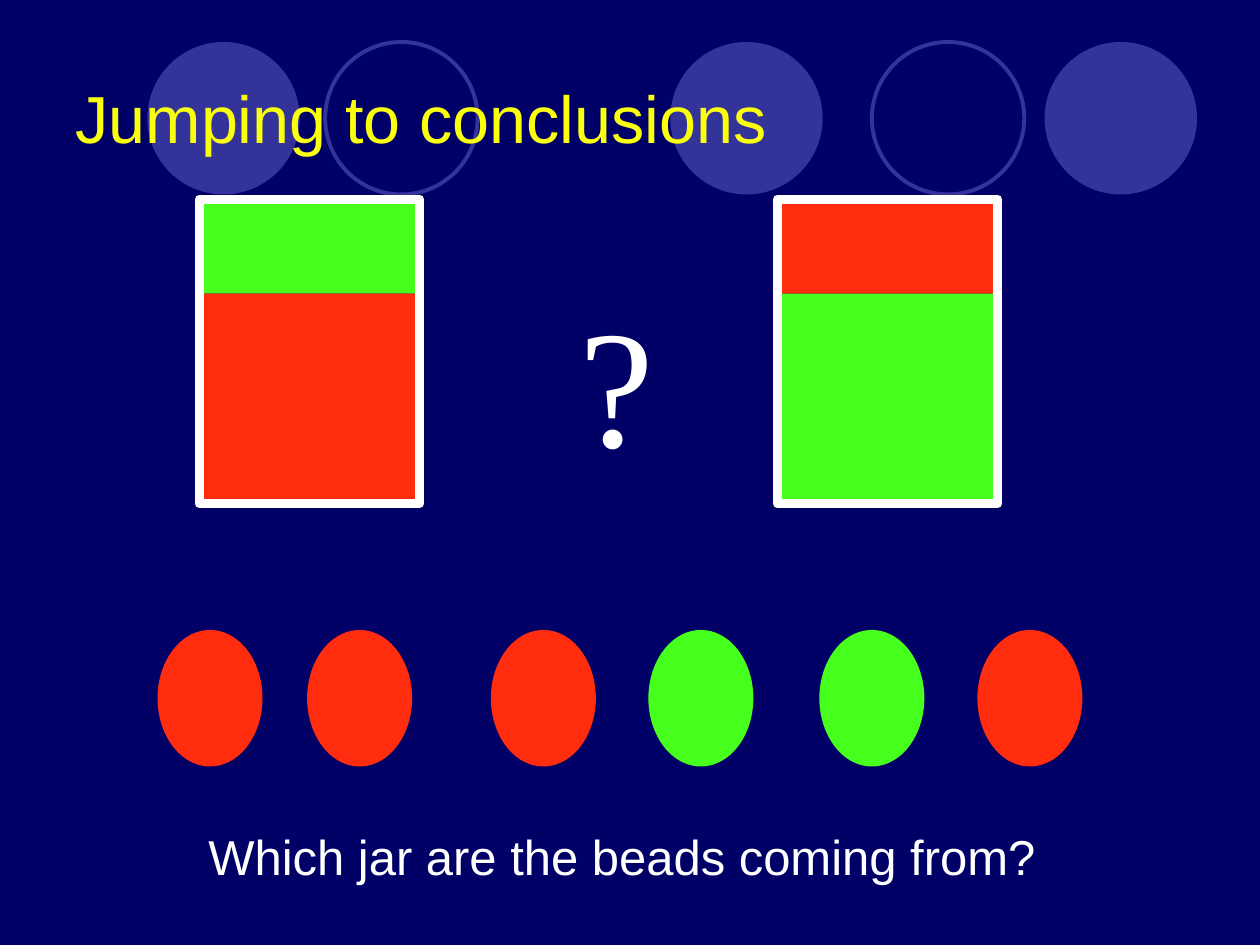
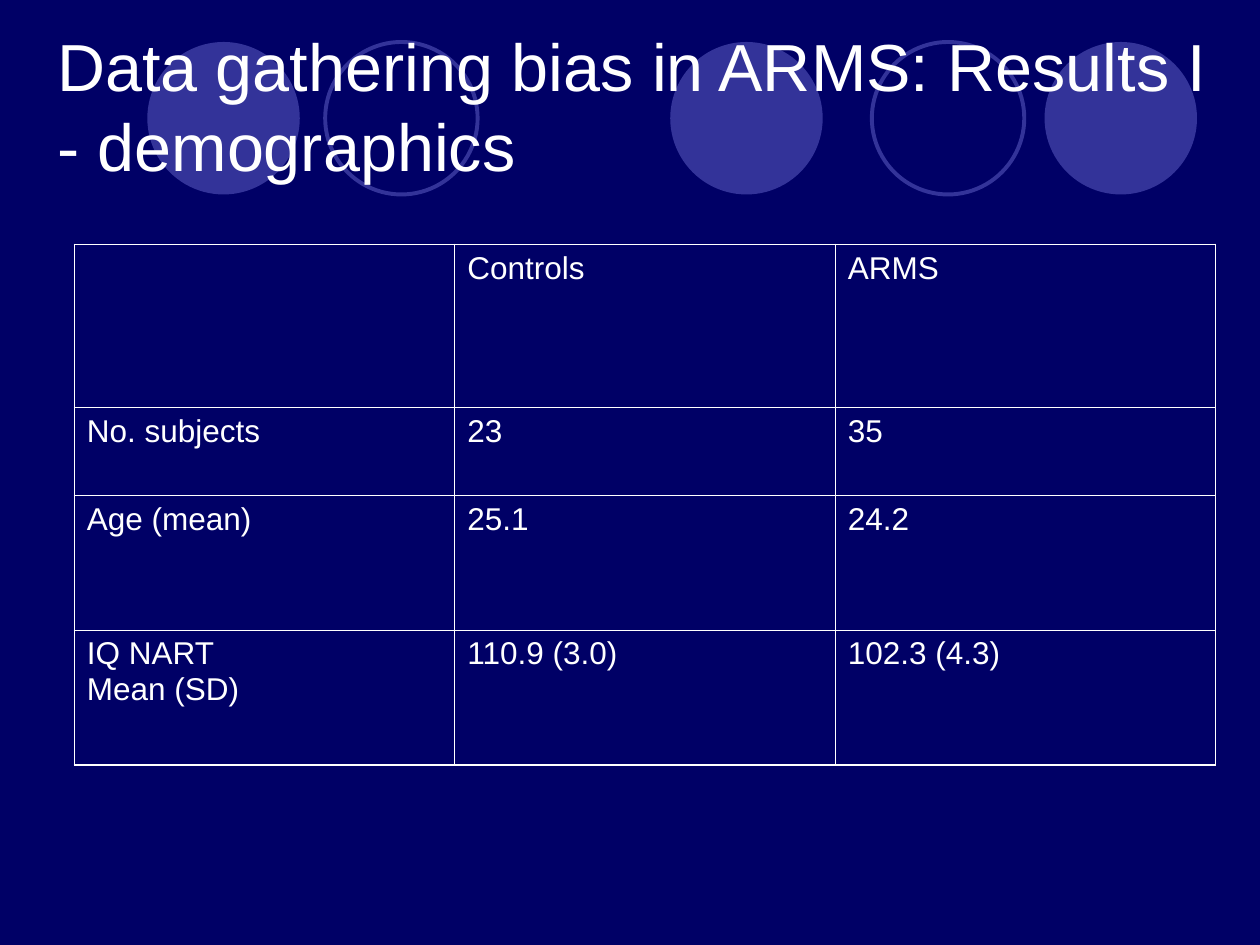
from lxml import etree
from pptx import Presentation
from pptx.dml.color import RGBColor
from pptx.enum import shapes, text
from pptx.oxml import ns
from pptx.util import Pt

COLOURS = {
    "navy": "000066",
    "indigo": "333399",
    "white": "FFFFFF",
    "yellow": "FAFF0B",
    "red": "FF2C0D",
    "green": "47FF1D",
}
SANS = "Arial"
SERIF = "Times New Roman"
RECTANGLE = shapes.MSO_SHAPE.RECTANGLE
OVAL = shapes.MSO_SHAPE.OVAL

FILLED_CIRCLES = [84.2, 383, 596.9]
RING_CIRCLES = [185.8, 498.2]
CIRCLE_TOP, CIRCLE_SIZE = 24, 87.1

JAR_TOP, JAR_WIDTH, JAR_HEIGHT, JAR_SPLIT = 113.8, 126, 174, 54
JARS = [(113.8, "green", "red"), (444.2, "red", "green")]

BEAD_TOP, BEAD_WIDTH, BEAD_HEIGHT = 360, 60, 78
BEADS = [(90, "red"), (175.5, "red"), (280.5, "red"),
         (370.5, "green"), (468.2, "green"), (558.5, "red")]

DEMOGRAPHICS = [
    ["", "Controls", "ARMS"],
    ["No. subjects", "23", "35"],
    ["Age (mean)", "25.1", "24.2"],
    ["IQ NART\nMean (SD)", "110.9 (3.0)", "102.3 (4.3)"],
]
ROW_HEIGHTS = [93, 50.4, 77, 77]
COLUMN_WIDTH = 217.4
OUTER_BORDER, INNER_BORDER = 1.08, 0.45


def colour(name):
    return RGBColor.from_string(COLOURS[name])


def add_figure(page, kind, left, top, width, height, fill=None, line=None, weight=1):
    figure = page.shapes.add_shape(kind, Pt(left), Pt(top), Pt(width), Pt(height))
    figure.shadow.inherit = False
    if fill:
        figure.fill.solid()
        figure.fill.fore_color.rgb = colour(fill)
    else:
        figure.fill.background()
    if line:
        figure.line.color.rgb = colour(line)
        figure.line.width = Pt(weight)
    else:
        figure.line.fill.background()


def write(frame, wording, size, tint="white", font=SANS, align=text.PP_ALIGN.LEFT):
    for number, sentence in enumerate(wording.split("\n")):
        para = frame.add_paragraph() if number else frame.paragraphs[0]
        para.alignment = align
        span = para.add_run()
        span.text = sentence
        span.font.size = Pt(size)
        span.font.name = font
        span.font.color.rgb = colour(tint)


def add_text(page, left, top, width, height, wording, size,
             anchor=text.MSO_ANCHOR.TOP, **style):
    box = page.shapes.add_textbox(Pt(left), Pt(top), Pt(width), Pt(height))
    box.text_frame.word_wrap = True
    box.text_frame.vertical_anchor = anchor
    write(box.text_frame, wording, size, **style)


def add_page(deck):
    page = deck.slides.add_slide(deck.slide_layouts[6])
    page.background.fill.solid()
    page.background.fill.fore_color.rgb = colour("navy")
    for left in FILLED_CIRCLES:
        add_figure(page, OVAL, left, CIRCLE_TOP, CIRCLE_SIZE, CIRCLE_SIZE, fill="indigo")
    for left in RING_CIRCLES:
        add_figure(page, OVAL, left, CIRCLE_TOP, CIRCLE_SIZE, CIRCLE_SIZE,
                   line="indigo", weight=2.25)
    return page


def add_title(page, left, top, width, wording, tint):
    add_text(page, left, top, width, 90, wording, 38,
             anchor=text.MSO_ANCHOR.MIDDLE, tint=tint)


def add_jar(page, left, upper, lower):
    add_figure(page, RECTANGLE, left, JAR_TOP, JAR_WIDTH, JAR_SPLIT, fill=upper)
    add_figure(page, RECTANGLE, left, JAR_TOP + JAR_SPLIT, JAR_WIDTH,
               JAR_HEIGHT - JAR_SPLIT, fill=lower)
    add_figure(page, RECTANGLE, left, JAR_TOP, JAR_WIDTH, JAR_HEIGHT,
               line="white", weight=5.25)


def set_borders(cell, weights):
    properties = cell._tc.get_or_add_tcPr()
    for position, (side, weight) in enumerate(weights.items()):
        border = etree.Element(ns.qn(f"a:ln{side}"), w=str(Pt(weight)))
        fill = etree.SubElement(border, ns.qn("a:solidFill"))
        etree.SubElement(fill, ns.qn("a:srgbClr"), val=COLOURS["white"])
        properties.insert(position, border)


def add_grid(page, left, top, rows):
    row_count, column_count = len(rows), len(rows[0])
    grid = page.shapes.add_table(row_count, column_count, Pt(left), Pt(top),
                                 Pt(COLUMN_WIDTH * column_count),
                                 Pt(sum(ROW_HEIGHTS))).table
    grid.first_row = grid.horz_banding = False
    for column in grid.columns:
        column.width = Pt(COLUMN_WIDTH)
    for row, height in zip(grid.rows, ROW_HEIGHTS):
        row.height = Pt(height)
    for r, row in enumerate(rows):
        for c, wording in enumerate(row):
            cell = grid.cell(r, c)
            cell.fill.background()
            if wording:
                write(cell.text_frame, wording, 18)
            on_edge = {"L": c == 0, "R": c == column_count - 1,
                       "T": r == 0, "B": r == row_count - 1}
            set_borders(cell, {side: OUTER_BORDER if outer else INNER_BORDER
                               for side, outer in on_edge.items()})


def build_jars(deck):
    page = add_page(deck)
    add_title(page, 36, 21.6, 648, "Jumping to conclusions", "yellow")
    for jar in JARS:
        add_jar(page, *jar)
    for left, fill in BEADS:
        add_figure(page, OVAL, left, BEAD_TOP, BEAD_WIDTH, BEAD_HEIGHT, fill=fill)
    add_text(page, 324, 156, 102, 122, "?", 96, font=SERIF)
    add_text(page, 98.5, 469, 513.5, 41, "Which jar are the beads coming from?", 28,
             align=text.PP_ALIGN.CENTER)


def build_demographics(deck):
    page = add_page(deck)
    add_title(page, 25.5, 15, 672,
              "Data gathering bias in ARMS: Results I - demographics", "white")
    add_grid(page, 42.5, 139.7, DEMOGRAPHICS)


def main():
    deck = Presentation()
    deck.slide_width, deck.slide_height = Pt(720), Pt(540)
    build_jars(deck)
    build_demographics(deck)
    deck.save("out.pptx")


if __name__ == "__main__":
    main()
